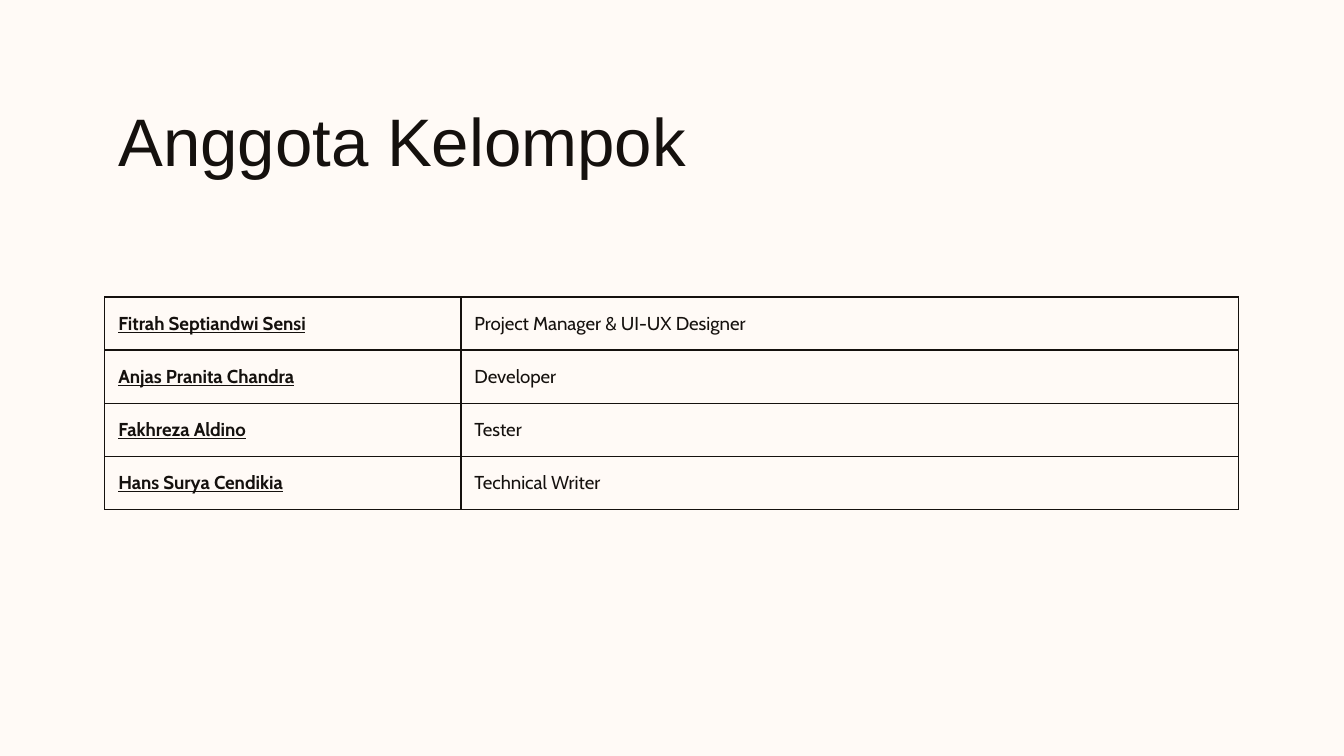
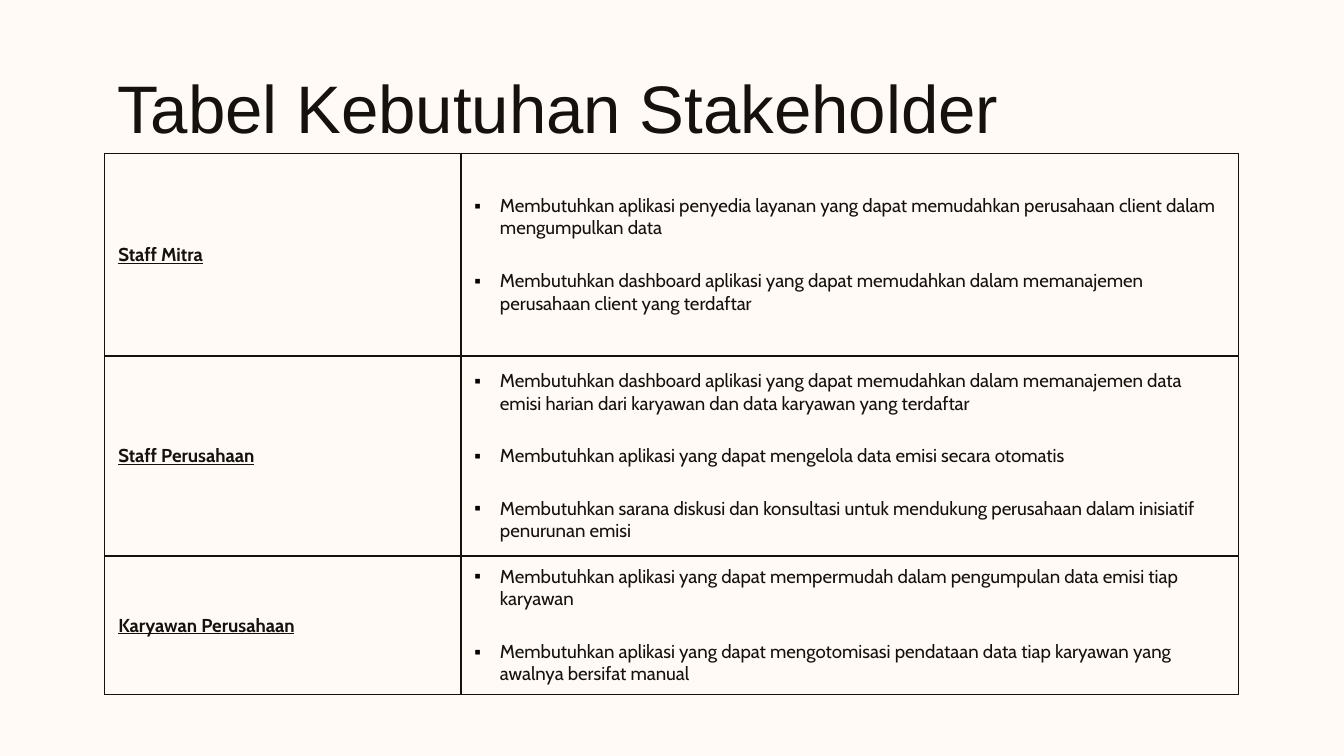
from lxml.etree import SubElement
from pptx import Presentation
from pptx.dml.color import RGBColor
from pptx.enum.text import MSO_ANCHOR as Anchor, MSO_AUTO_SIZE as AutoSize, PP_ALIGN as Align
from pptx.oxml.ns import qn
from pptx.util import Pt

COLORS = {"paper": "FFFAF6", "ink": "15110E", "bullet": "000000"}
TITLE_FONT, BODY_FONT = "Arial", "Cabin"
LEFT, WIDTH = 56.16, 607.2
COLUMN_WIDTHS = (190.8, 416.4)
INSET = 7.2
INDENT = 13.7

SLIDES = [
    {
        "title": "Anggota Kelompok", "title_left": 56.16, "title_top": 42.5,
        "table_top": 159.1, "row_heights": [28.44] * 4, "bulleted": False,
        "rows": [
            ("Fitrah Septiandwi Sensi", ["Project Manager & UI-UX Designer"]),
            ("Anjas Pranita Chandra", ["Developer"]),
            ("Fakhreza Aldino", ["Tester"]),
            ("Hans Surya Cendikia", ["Technical Writer"]),
        ],
    },
    {
        "title": "Tabel Kebutuhan Stakeholder", "title_left": 55.5, "title_top": 24.5,
        "table_top": 82.1, "row_heights": [108.6, 107.2, 74.4], "bulleted": True,
        "rows": [
            ("Staff Mitra", [
                "Membutuhkan aplikasi penyedia layanan yang dapat memudahkan "
                "perusahaan client dalam mengumpulkan data",
                "Membutuhkan dashboard aplikasi yang dapat memudahkan dalam "
                "memanajemen perusahaan client yang terdaftar",
            ]),
            ("Staff Perusahaan", [
                "Membutuhkan dashboard aplikasi yang dapat memudahkan dalam memanajemen "
                "data emisi harian dari karyawan dan data karyawan yang terdaftar",
                "Membutuhkan aplikasi yang dapat mengelola data emisi secara otomatis",
                "Membutuhkan sarana diskusi dan konsultasi untuk mendukung perusahaan "
                "dalam inisiatif penurunan emisi",
            ]),
            ("Karyawan Perusahaan", [
                "Membutuhkan aplikasi yang dapat mempermudah dalam pengumpulan "
                "data emisi tiap karyawan",
                "Membutuhkan aplikasi yang dapat mengotomisasi pendataan data "
                "tiap karyawan yang awalnya bersifat manual",
            ]),
        ],
    },
]


def add_run(paragraph, text, font_name, size, emphasis=False):
    run = paragraph.add_run()
    run.text = text
    run.font.name, run.font.size = font_name, Pt(size)
    run.font.bold = run.font.underline = emphasis
    run.font.color.rgb = RGBColor.from_string(COLORS["ink"])


def add_solid_color(parent, color):
    fill = SubElement(parent, qn("a:solidFill"))
    SubElement(fill, qn("a:srgbClr"), val=COLORS[color])


prs = Presentation()
prs.slide_width, prs.slide_height = Pt(720), Pt(405)
paper = prs.slide_master.background.fill
paper.solid()
paper.fore_color.rgb = RGBColor.from_string(COLORS["paper"])

for content in SLIDES:
    slide = prs.slides.add_slide(prs.slide_layouts[5])

    # Title
    title = slide.shapes.title
    title.left, title.top = Pt(content["title_left"]), Pt(content["title_top"])
    title.width, title.height = Pt(607.7), Pt(43.2)
    heading = title.text_frame
    heading.auto_size, heading.word_wrap = AutoSize.NONE, True
    heading.vertical_anchor = Anchor.TOP
    heading.margin_left = heading.margin_right = heading.margin_bottom = Pt(INSET)
    heading.margin_top = Pt(10.8)
    heading.paragraphs[0].alignment = Align.LEFT
    add_run(heading.paragraphs[0], content["title"], TITLE_FONT, 36)

    # Table grid
    heights = content["row_heights"]
    table = slide.shapes.add_table(len(heights), 2, Pt(LEFT), Pt(content["table_top"]),
                                   Pt(WIDTH), Pt(sum(heights))).table
    table.first_row = table.horz_banding = False
    for column, width in zip(table.columns, COLUMN_WIDTHS):
        column.width = Pt(width)

    # Names on the left, roles or needs on the right
    for row, height, (name, details) in zip(table.rows, heights, content["rows"]):
        row.height = Pt(height)
        name_cell, detail_cell = row.cells
        add_run(name_cell.text_frame.paragraphs[0], name, BODY_FONT, 10, emphasis=True)

        for i, detail in enumerate(details):
            frame = detail_cell.text_frame
            paragraph = frame.add_paragraph() if i else frame.paragraphs[0]
            paragraph.space_after = Pt(16)
            if content["bulleted"]:
                props = paragraph._p.get_or_add_pPr()
                props.set("marL", str(Pt(INDENT)))
                props.set("indent", str(-Pt(INDENT)))
                add_solid_color(SubElement(props, qn("a:buClr")), "bullet")
                # The colour element holds the colour itself, without a fill around it
                bullet_color = props.find(qn("a:buClr"))
                bullet_color.append(bullet_color[0][0])
                bullet_color.remove(bullet_color[0])
                SubElement(props, qn("a:buFont"), typeface="Arial")
                SubElement(props, qn("a:buChar"), char="▪")
            add_run(paragraph, detail, BODY_FONT, 10)

        # Cell frame: borders come before the fill in the cell properties
        for cell in (name_cell, detail_cell):
            cell.vertical_anchor = Anchor.MIDDLE
            cell.margin_left = cell.margin_right = Pt(INSET)
            cell.margin_top = cell.margin_bottom = Pt(0)
            cell_props = cell._tc.get_or_add_tcPr()
            for side in ("a:lnL", "a:lnR", "a:lnT", "a:lnB"):
                add_solid_color(SubElement(cell_props, qn(side), w=str(Pt(0.75))), "ink")
            cell.fill.background()

prs.save("out.pptx")
